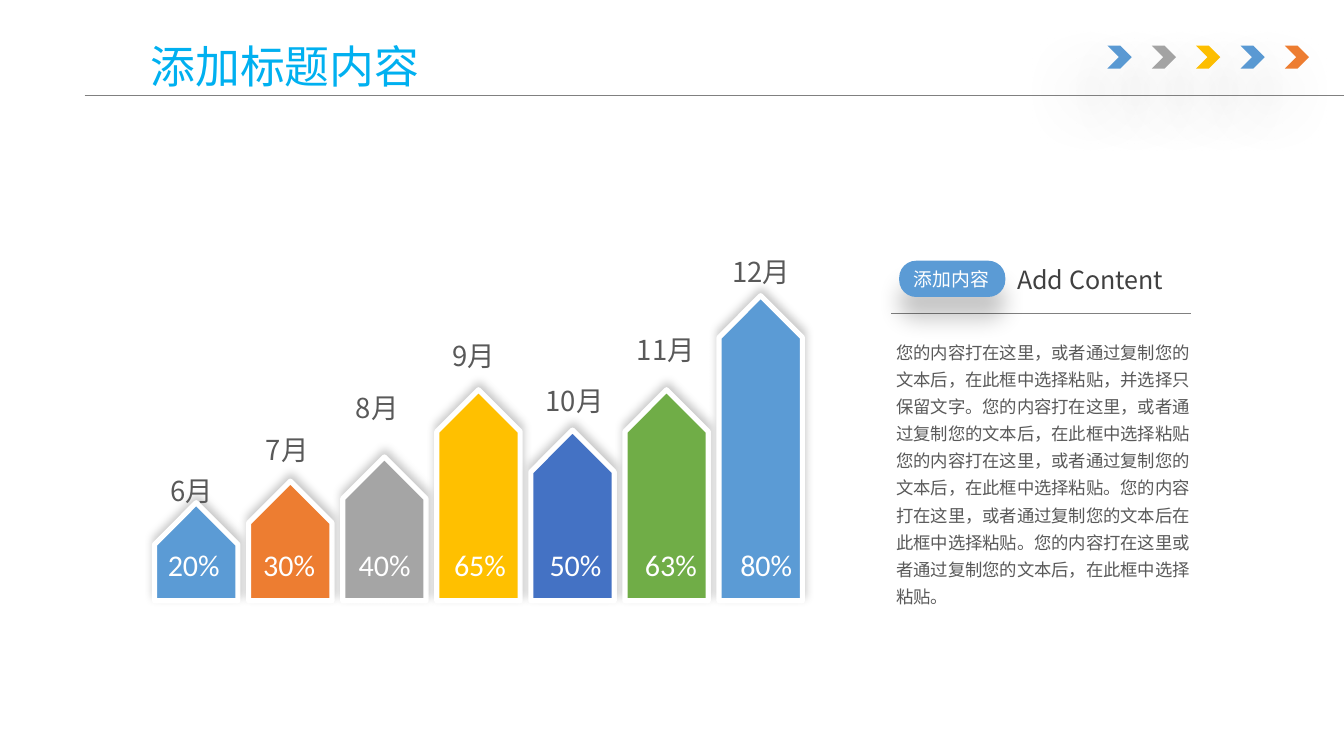
import pptx
import pptx.dml.color
import pptx.enum.shapes
import pptx.enum.text
import pptx.oxml
import pptx.oxml.ns
import pptx.util
from pptx.util import Inches

SHAPE = pptx.enum.shapes.MSO_SHAPE
ALIGN = pptx.enum.text.PP_ALIGN
CJK = "Noto Sans CJK SC"
BLUE, ORANGE, GRAY, GOLD = "5B9BD5", "ED7D31", "A5A5A5", "FFC000"
INDIGO, GREEN, WHITE, RULE, BODY = "4472C4", "70AD47", "FFFFFF", "808080", "595959"

# month, percent, colour, bar height, month label (left, top, width)
MONTHS = [
    ("6月", "20%", BLUE, 0.73, (1.17, 3.48, 0.66)),
    ("7月", "30%", ORANGE, 0.89, (1.88, 3.17, 0.66)),
    ("8月", "40%", GRAY, 1.07, (2.55, 2.86, 0.66)),
    ("9月", "65%", GOLD, 1.57, (3.27, 2.47, 0.66)),
    ("10月", "50%", INDIGO, 1.27, (3.96, 2.81, 0.78)),
    ("11月", "63%", GREEN, 1.57, (4.64, 2.43, 0.72)),
    ("12月", "80%", BLUE, 2.27, (5.35, 1.85, 0.77)),
]
DESCRIPTION = (
    "您的内容打在这里，或者通过复制您的文本后，在此框中选择粘贴，并选择只保留文字。"
    "您的内容打在这里，或者通过复制您的文本后，在此框中选择粘贴"
    "您的内容打在这里，或者通过复制您的文本后，在此框中选择粘贴。"
    "您的内容打在这里，或者通过复制您的文本后在此框中选择粘贴。"
    "您的内容打在这里或者通过复制您的文本后，在此框中选择粘贴。"
)


def rgb(value):
    return pptx.dml.color.RGBColor.from_string(value)


def write(frame, text, size, color, font=CJK, align=ALIGN.LEFT, spacing=None):
    frame.text = text
    paragraph = frame.paragraphs[0]
    paragraph.alignment = align
    if spacing:
        paragraph.line_spacing = spacing
    paragraph.font.size = pptx.util.Pt(size)
    paragraph.font.name = font
    paragraph.font.color.rgb = rgb(color)
    # East Asian characters take their font from a:ea
    defaults = paragraph._p.pPr.find(pptx.oxml.ns.qn("a:defRPr"))
    east_asian = pptx.oxml.parse_xml(f'<a:ea {pptx.oxml.ns.nsdecls("a")} typeface="{font}"/>')
    defaults.append(east_asian)


def add_text(shapes, box, text, size, color, wrap=True, **style):
    frame = shapes.add_textbox(*map(Inches, box)).text_frame
    frame.word_wrap = wrap
    frame.auto_size = pptx.enum.text.MSO_AUTO_SIZE.SHAPE_TO_FIT_TEXT
    write(frame, text, size, color, **style)
    return frame


def add_shadow(shape, alpha, blur, distance, angle):
    """Alpha in percent, blur and distance in points, angle in degrees."""
    shape.shadow.inherit = False
    effects = shape._element.spPr.find(pptx.oxml.ns.qn("a:effectLst"))
    effects.append(pptx.oxml.parse_xml(
        f'<a:outerShdw {pptx.oxml.ns.nsdecls("a")} blurRad="{pptx.util.Pt(blur)}" '
        f'dist="{pptx.util.Pt(distance)}" dir="{angle * 60000}" algn="ctr" rotWithShape="0">'
        f'<a:srgbClr val="000000"><a:alpha val="{alpha * 1000}"/></a:srgbClr></a:outerShdw>'))


def add_filled(shapes, kind, box, fill, shadow):
    shape = shapes.add_shape(kind, *map(Inches, box))
    shape.fill.solid()
    shape.fill.fore_color.rgb = rgb(fill)
    shape.line.fill.background()
    add_shadow(shape, *shadow)
    return shape


def add_rule(shapes, left, right, y):
    rule = shapes.add_connector(pptx.enum.shapes.MSO_CONNECTOR.STRAIGHT,
                                Inches(left), Inches(y), Inches(right), Inches(y))
    rule.line.color.rgb = rgb(RULE)
    rule.line.width = pptx.util.Pt(0.5)
    rule._element.spPr.append(
        pptx.oxml.parse_xml(f'<a:effectLst {pptx.oxml.ns.nsdecls("a")}/>'))


def add_header(slide, left, right, rule_y):
    for i, color in enumerate([BLUE, GRAY, GOLD, BLUE, ORANGE]):
        add_filled(slide.shapes, SHAPE.CHEVRON,
                   (right - 1.76 + 0.33 * i, rule_y - 0.37, 0.18, 0.17),
                   color, (38, 36, 24, 130))
    add_rule(slide.shapes, left, right, rule_y)
    title = slide.shapes.title
    title.left, title.top = Inches(left + 0.39), Inches(rule_y - 0.74)
    title.width, title.height = Inches(8.62), Inches(1.09)
    title.text_frame.auto_size = pptx.enum.text.MSO_AUTO_SIZE.NONE
    title.text_frame.vertical_anchor = pptx.enum.text.MSO_ANCHOR.MIDDLE
    write(title.text_frame, "添加标题内容", 24, "00B0F0", spacing=0.9)


def add_month_bars(shapes, left, bottom):
    thickness, pitch = 0.62, 0.70
    for i, (_, _, color, height, _) in enumerate(MONTHS):
        center_x = left + thickness / 2 + pitch * i
        # The pentagon points right, so it is laid out sideways and turned up
        bar = add_filled(shapes, SHAPE.PENTAGON,
                         (center_x - height / 2, bottom - height / 2 - thickness / 2,
                          height, thickness), color, (22, 5, 3, 275))
        bar.rotation = 270
        bar.line.color.rgb = rgb(WHITE)
        bar.line.width = pptx.util.Pt(2.75)
    for i, (month, percent, _, _, (x, y, width)) in enumerate(MONTHS):
        add_text(shapes, (x, y, width, 0.35), month, 14.7, BODY)
        add_text(shapes, (left + 0.71 * i, bottom - 0.45, 0.62, 0.37),
                 percent, 16.1, WHITE, font="Calibri")


def add_description(shapes, left, top):
    frame = add_text(shapes, (left, top + 0.52, 2.5, 2.16), DESCRIPTION, 9.3, BODY,
                     spacing=1.3)
    frame.margin_left = frame.margin_right = Inches(0.11)
    frame.margin_top = frame.margin_bottom = Inches(0.06)

    heading = shapes.add_group_shape().shapes
    add_rule(heading, left + 0.07, left + 2.3, top + 0.41)
    badge = add_filled(heading, SHAPE.ROUNDED_RECTANGLE,
                       (left + 0.13, top + 0.02, 0.79, 0.27), BLUE, (22, 12, 12, 90))
    badge.adjustments[0] = 0.47
    add_text(heading, (left + 0.14, top + 0.02, 0.76, 0.27), "添加内容", 10.1, WHITE,
             wrap=False, align=ALIGN.CENTER)
    add_text(heading, (left + 0.91, top, 1.59, 0.33), "Add Content", 13.4, "404040")


def main():
    deck = pptx.Presentation()
    deck.slide_width = Inches(10)
    deck.slide_height = deck.slide_width * 9 // 16
    slide = deck.slides.add_slide(deck.slide_layouts[5])
    add_header(slide, left=0.63, right=10, rule_y=0.71)
    add_month_bars(slide.shapes, left=1.15, bottom=4.47)
    add_description(slide.shapes, left=6.56, top=1.92)
    deck.save("out.pptx")


if __name__ == "__main__":
    main()
